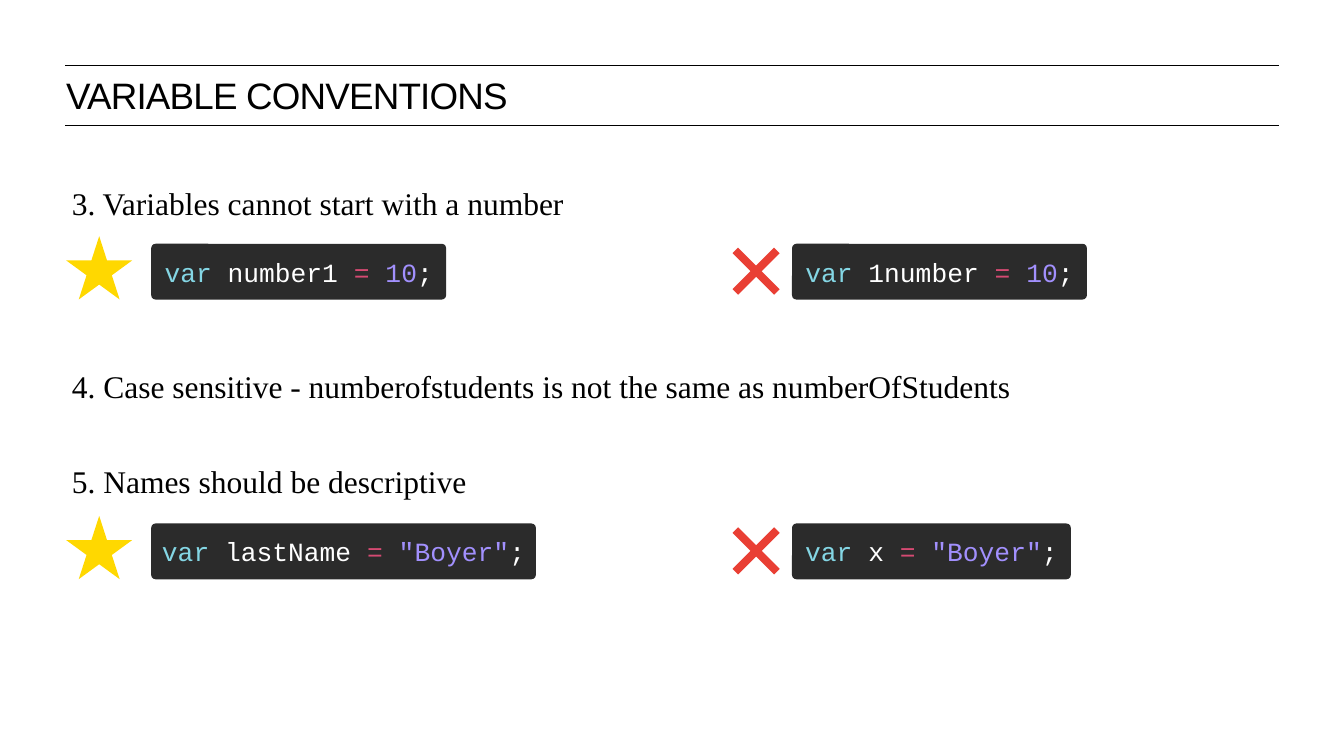
from pptx import Presentation
from pptx.dml.color import RGBColor
from pptx.enum.shapes import MSO_CONNECTOR, MSO_SHAPE
from pptx.enum.text import MSO_ANCHOR, MSO_AUTO_SIZE, PP_ALIGN
from pptx.oxml.ns import qn
from pptx.util import Inches, Pt
from lxml import etree

STRAIGHT = MSO_CONNECTOR.STRAIGHT
ROUNDED, STAR = MSO_SHAPE.ROUNDED_RECTANGLE, MSO_SHAPE.STAR_5_POINT
MIDDLE, TOP = MSO_ANCHOR.MIDDLE, MSO_ANCHOR.TOP
CENTER, LEFT = PP_ALIGN.CENTER, PP_ALIGN.LEFT
GROW = MSO_AUTO_SIZE.SHAPE_TO_FIT_TEXT

BLACK = RGBColor(0x00, 0x00, 0x00)
WHITE = RGBColor(0xFF, 0xFF, 0xFF)
PANEL = RGBColor(0x2B, 0x2B, 0x2B)
KEYWORD = RGBColor(0x84, 0xD6, 0xE4)
OPERATOR = RGBColor(0xD5, 0x4A, 0x72)
VALUE = RGBColor(0xA2, 0x90, 0xFD)
GOLD = RGBColor(0xFF, 0xD8, 0x00)
RED = RGBColor(0xE9, 0x3F, 0x34)

PANEL_HEIGHT = 0.59
GOOD_LEFT, BAD_LEFT = 1.6, 8.38
STAR_LEFT, CROSS_LEFT, CROSS_SIZE = 0.7, 7.78, 0.44

# Row top, then name, value and panel width of the good and the bad example
EXAMPLES = [
    (2.58, ("number1", "10", 3.12), ("1number", "10", 3.12)),
    (5.54, ("lastName", '"Boyer"', 4.07), ("x", '"Boyer"', 2.95)),
]


def add_line(shapes, start, end, color, width):
    line = shapes.add_connector(STRAIGHT, *(Inches(value) for value in start + end))
    line.line.color.rgb = color
    line.line.width = Pt(width)
    etree.SubElement(line._element.spPr, qn("a:effectLst"))


def add_filled_shape(slide, kind, left, top, width, height, color):
    shape = slide.shapes.add_shape(
        kind, Inches(left), Inches(top), Inches(width), Inches(height))
    shape.shadow.inherit = False
    shape.fill.solid()
    shape.fill.fore_color.rgb = color
    shape.line.fill.background()
    return shape


def style_run(run, font_name, size, color):
    run.font.name = font_name
    run.font.size = Pt(size)
    run.font.color.rgb = color


def set_margins(text_frame, margin):
    text_frame.margin_left = text_frame.margin_right = Inches(margin)
    text_frame.margin_top = text_frame.margin_bottom = Inches(margin)


def add_text(slide, left, top, width, height, text, font_name, size,
             line_spacing, anchor, margin=0, gap=0):
    box = slide.shapes.add_textbox(
        Inches(left), Inches(top), Inches(width), Inches(height))
    text_frame = box.text_frame
    text_frame.text = text
    text_frame.word_wrap = True
    text_frame.auto_size = GROW
    text_frame.vertical_anchor = anchor
    set_margins(text_frame, margin)
    for index, paragraph in enumerate(text_frame.paragraphs):
        paragraph.alignment = LEFT
        paragraph.line_spacing = line_spacing
        paragraph.space_before = Pt(gap if index else 0)
        style_run(paragraph.runs[0], font_name, size, BLACK)
    return text_frame


def add_title(slide):
    text_frame = add_text(slide, 0.7, 0.79, 8.44, 0.45, "VARIABLE CONVENTIONS",
                          "Arial", 28, Pt(32), TOP)
    text_frame.paragraphs[0].runs[0]._r.get_or_add_rPr().set("spc", "-60")


def add_rules(slide, top, width, height, text):
    add_text(slide, 0.7, top, width, height, text, "Times New Roman", 24, 1.1,
             MIDDLE, margin=0.06, gap=41)


def add_code(slide, left, top, name, value, width):
    panel = add_filled_shape(slide, ROUNDED, left, top, width, PANEL_HEIGHT, PANEL)
    panel.adjustments[0] = 0.078
    text_frame = panel.text_frame
    text_frame.word_wrap = False
    text_frame.vertical_anchor = MIDDLE
    set_margins(text_frame, 0.06)
    paragraph = text_frame.paragraphs[0]
    paragraph.alignment = CENTER
    for text, color in (("var", KEYWORD), (f" {name} ", WHITE), ("= ", OPERATOR),
                        (value, VALUE), (";", WHITE)):
        run = paragraph.add_run()
        run.text = text
        style_run(run, "Courier New", 20, color)


def add_cross(slide, left, top):
    group = slide.shapes.add_group_shape()
    right, bottom = left + CROSS_SIZE, top + CROSS_SIZE
    add_line(group.shapes, (left, bottom), (right, top), RED, 6)
    add_line(group.shapes, (right, bottom), (left, top), RED, 6)


def main():
    presentation = Presentation()
    presentation.slide_width = Inches(14.22)
    presentation.slide_height = Inches(7.99)
    slide = presentation.slides.add_slide(presentation.slide_layouts[6])

    # Title between two rules
    for y in (0.69, 1.33):
        add_line(slide.shapes, (0.69, y), (13.53, y), BLACK, 1)
    add_title(slide)

    # Numbered conventions
    add_rules(slide, 1.91, 6.11, 0.43, "3. Variables cannot start with a number")
    add_rules(slide, 3.92, 11.58, 1.3,
              "4. Case sensitive - numberofstudents is not the same as "
              "numberOfStudents\n5. Names should be descriptive")

    # Good and bad code examples
    for top, good, bad in EXAMPLES:
        add_filled_shape(slide, STAR, STAR_LEFT, top - 0.08, 0.7, 0.67, GOLD)
        add_code(slide, GOOD_LEFT, top, *good)
        add_cross(slide, CROSS_LEFT, top + 0.07)
        add_code(slide, BAD_LEFT, top, *bad)

    presentation.save("out.pptx")


if __name__ == "__main__":
    main()
